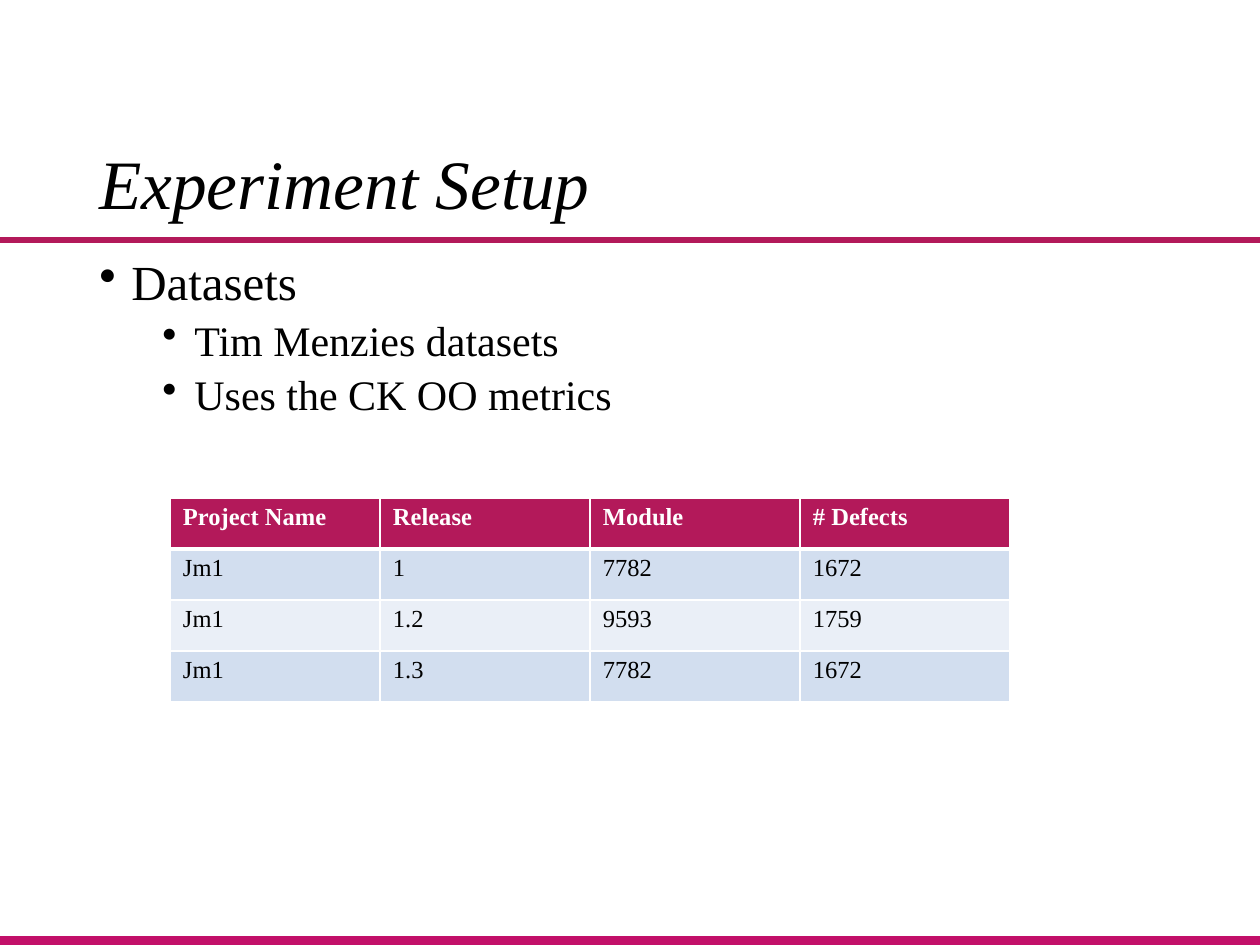
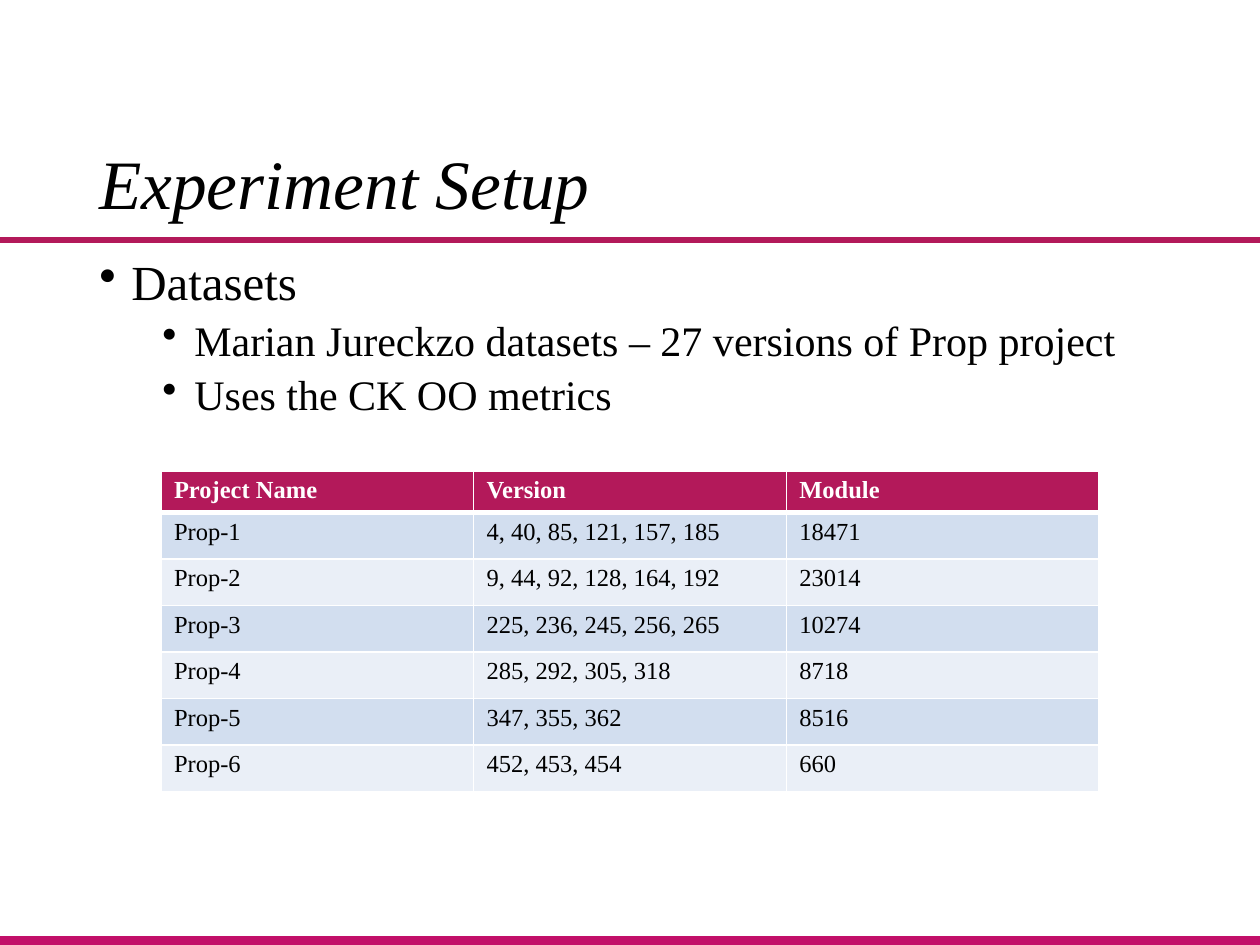
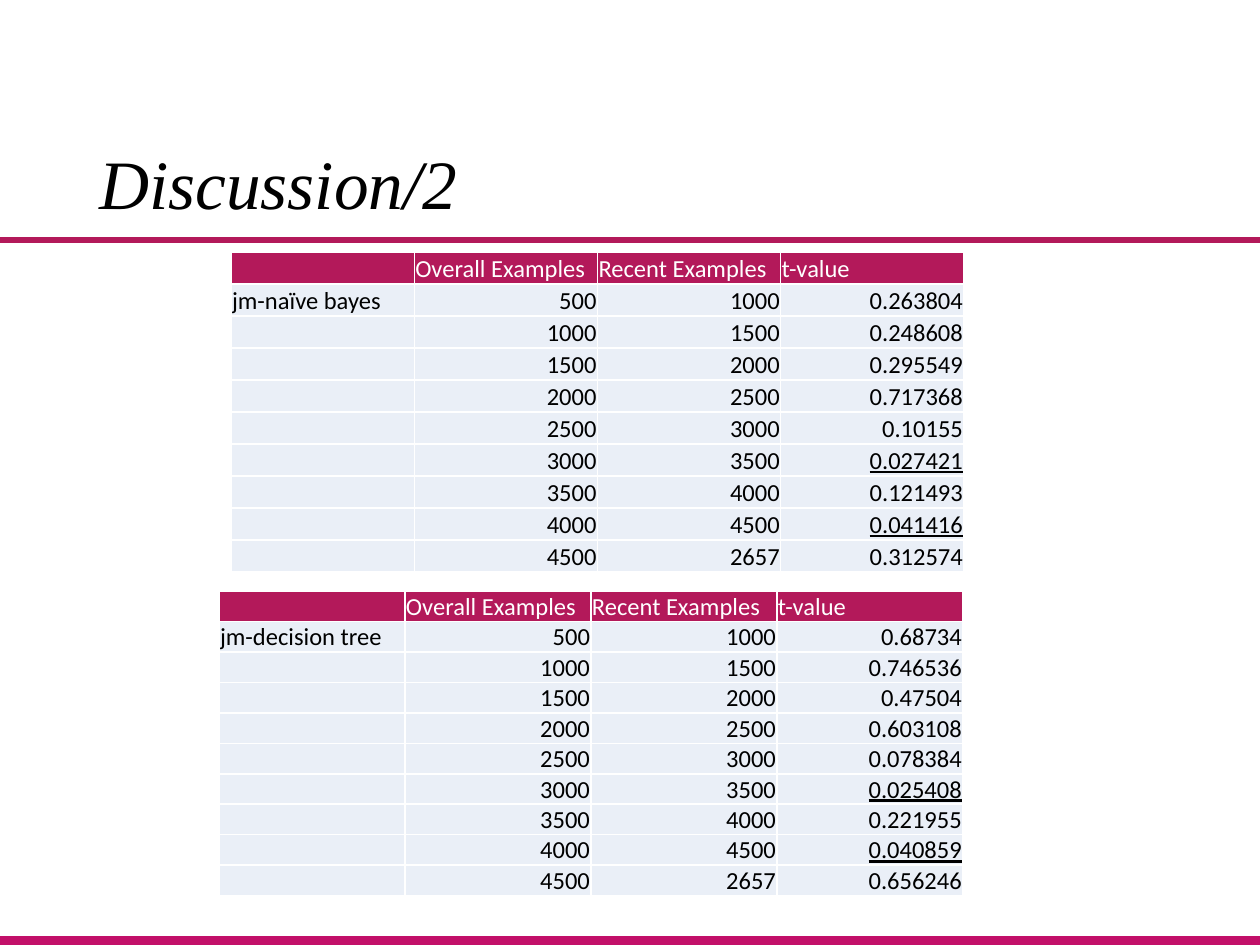
from dataclasses import dataclass

from lxml import etree
from pptx import Presentation
from pptx import util as u
from pptx.dml import color
from pptx.enum import shapes, text
from pptx.oxml import ns

EMU_PER_PX = 914400 / 126
SLIDE_WIDTH, SLIDE_HEIGHT = 1260, 945

BLACK, WHITE = "000000", "FFFFFF"
CRIMSON, MAGENTA = "B3195A", "C21069"
BLUE, PALE_BLUE = "D2DEEF", "EAEFF7"
SERIF, SANS = "Times New Roman", "Calibri"


@dataclass(frozen=True)
class Box:
    left: int
    top: int
    width: int
    height: int


@dataclass(frozen=True)
class Bar:
    box: Box
    fill: str


@dataclass(frozen=True)
class BulletStyle:
    size: int
    indent: int
    space_before: int


@dataclass(frozen=True)
class TableStyle:
    font: str
    bold_header: bool
    header_rule: int
    bands: tuple[str, ...]
    margins: tuple[int, int, int, int]
    anchor: text.MSO_ANCHOR
    numbers_right: bool


@dataclass(frozen=True)
class TableSpec:
    left: int
    top: int
    width: int
    header_height: int
    body_height: int
    rows: list[list[str]]
    style: TableStyle


BARS = [
    Bar(Box(-1, 936, 1262, 9), MAGENTA),
    Bar(Box(-1, 237, 1262, 6), CRIMSON),
]
TITLE_BOX = Box(87, 142, 1086, 91)
BODY_BOX = Box(87, 252, 1086, 600)
BULLET_HANG = 32
BULLET_STYLES = [BulletStyle(28, 32, 10), BulletStyle(24, 95, 5)]
TABLE_TEXT_SIZE = 14
SIGNIFICANCE = 0.05

DATASET_STYLE = TableStyle(
    SERIF, True, 3, (BLUE, PALE_BLUE), (13, 6, 13, 6), text.MSO_ANCHOR.TOP, False
)
RESULT_STYLE = TableStyle(
    SANS, False, 1, (PALE_BLUE,), (1, 1, 1, 0), text.MSO_ANCHOR.BOTTOM, True
)

MENZIES_ROWS = [
    ["Project Name", "Release", "Module", "# Defects"],
    ["Jm1", "1", "7782", "1672"],
    ["Jm1", "1.2", "9593", "1759"],
    ["Jm1", "1.3", "7782", "1672"],
]
PROP_ROWS = [
    ["Project Name", "Version", "Module"],
    ["Prop-1", "4, 40, 85, 121, 157, 185", "18471"],
    ["Prop-2", "9, 44, 92, 128, 164, 192", "23014"],
    ["Prop-3", "225, 236, 245, 256, 265", "10274"],
    ["Prop-4", "285, 292, 305, 318", "8718"],
    ["Prop-5", "347, 355, 362", "8516"],
    ["Prop-6", "452, 453, 454", "660"],
]
OVERALL_EXAMPLES = [str(count) for count in range(500, 5000, 500)]
RECENT_EXAMPLES = OVERALL_EXAMPLES[1:] + ["2657"]
BAYES_T_VALUES = [
    "0.263804", "0.248608", "0.295549", "0.717368", "0.10155",
    "0.027421", "0.121493", "0.041416", "0.312574",
]
TREE_T_VALUES = [
    "0.68734", "0.746536", "0.47504", "0.603108", "0.078384",
    "0.025408", "0.221955", "0.040859", "0.656246",
]


def px(length: float) -> u.Emu:
    return u.Emu(round(length * EMU_PER_PX))


def rgb(value: str) -> color.RGBColor:
    return color.RGBColor.from_string(value)


def place(box: Box) -> tuple[u.Emu, ...]:
    return px(box.left), px(box.top), px(box.width), px(box.height)


def format_runs(paragraph, font: str, size: float, fill: str,
                bold: bool = False, italic: bool = False, underline: bool = False) -> None:
    for run in paragraph.runs:
        run.font.name = font
        run.font.size = u.Pt(size)
        run.font.color.rgb = rgb(fill)
        run.font.bold = bold
        run.font.italic = italic
        run.font.underline = underline


def add_bar(slide, bar: Bar) -> None:
    shape = slide.shapes.add_shape(shapes.MSO_SHAPE.RECTANGLE, *place(bar.box))
    shape.shadow.inherit = False
    shape.fill.solid()
    shape.fill.fore_color.rgb = rgb(bar.fill)
    shape.line.fill.background()


def add_text_frame(slide, box: Box):
    text_frame = slide.shapes.add_textbox(*place(box)).text_frame
    text_frame.word_wrap = True
    return text_frame


def add_titled_slide(presentation, title: str):
    slide = presentation.slides.add_slide(presentation.slide_layouts[6])
    for bar in BARS:
        add_bar(slide, bar)
    text_frame = add_text_frame(slide, TITLE_BOX)
    text_frame.vertical_anchor = text.MSO_ANCHOR.MIDDLE
    text_frame.text = title
    paragraph = text_frame.paragraphs[0]
    paragraph.line_spacing = 0.9
    format_runs(paragraph, SERIF, 39.6, BLACK, italic=True)
    return slide


def add_bullets(slide, items: list[tuple[int, str]]) -> None:
    text_frame = add_text_frame(slide, BODY_BOX)
    text_frame.text = "\n".join(item for _, item in items)
    for paragraph, (level, _) in zip(text_frame.paragraphs, items):
        style = BULLET_STYLES[level]
        paragraph.level = level
        paragraph.line_spacing = 0.9
        paragraph.space_before = u.Pt(style.space_before)
        format_runs(paragraph, SERIF, style.size, BLACK)
        properties = paragraph._p.get_or_add_pPr()
        properties.set("marL", str(px(style.indent)))
        properties.set("indent", str(-px(BULLET_HANG)))
        etree.SubElement(properties, ns.qn("a:buChar"), char="•")


def set_borders(cell, top: int, bottom: int) -> None:
    properties = cell._tc.get_or_add_tcPr()
    for side, width in (("L", 1), ("R", 1), ("T", top), ("B", bottom)):
        line = etree.SubElement(properties, ns.qn(f"a:ln{side}"), w=str(u.Pt(width)))
        fill = etree.SubElement(line, ns.qn("a:solidFill"))
        etree.SubElement(fill, ns.qn("a:srgbClr"), val=WHITE)


def fill_cell(cell, value: str, row: int, column: int, style: TableStyle) -> None:
    header = row == 0
    number = style.numbers_right and not header and column > 0
    set_borders(
        cell,
        style.header_rule if row == 1 else 1,
        style.header_rule if header else 1,
    )
    cell.fill.solid()
    cell.fill.fore_color.rgb = rgb(
        CRIMSON if header else style.bands[(row - 1) % len(style.bands)]
    )
    cell.margin_left, cell.margin_top, cell.margin_right, cell.margin_bottom = map(
        px, style.margins
    )
    cell.vertical_anchor = style.anchor
    cell.text_frame.text = value
    paragraph = cell.text_frame.paragraphs[0]
    if number:
        paragraph.alignment = text.PP_ALIGN.RIGHT
    format_runs(
        paragraph, style.font, TABLE_TEXT_SIZE, WHITE if header else BLACK,
        bold=header and style.bold_header,
        underline=number and float(value) < SIGNIFICANCE,
    )
    if not value:
        ending = etree.SubElement(
            paragraph._p, ns.qn("a:endParaRPr"), sz=str(TABLE_TEXT_SIZE * 100)
        )
        etree.SubElement(ending, ns.qn("a:latin"), typeface=style.font)


def add_data_table(slide, spec: TableSpec) -> None:
    row_count, column_count = len(spec.rows), len(spec.rows[0])
    box = Box(spec.left, spec.top, spec.width, spec.header_height + spec.body_height)
    table = slide.shapes.add_table(row_count, column_count, *place(box)).table
    table.first_row = False
    table.horz_banding = False
    for column in table.columns:
        column.width = px(spec.width / column_count)
    for row, values in enumerate(spec.rows):
        table.rows[row].height = px(
            spec.body_height / (row_count - 1) if row else spec.header_height
        )
        for column, value in enumerate(values):
            fill_cell(table.cell(row, column), value, row, column, spec.style)


def result_rows(learner: str, t_values: list[str]) -> list[list[str]]:
    labels = [learner] + [""] * (len(t_values) - 1)
    body = zip(labels, OVERALL_EXAMPLES, RECENT_EXAMPLES, t_values)
    return [["", "Overall Examples", "Recent Examples", "t-value"], *map(list, body)]


def add_dataset_slide(presentation, source: str, spec: TableSpec) -> None:
    slide = add_titled_slide(presentation, "Experiment Setup")
    add_bullets(slide, [(0, "Datasets"), (1, source), (1, "Uses the CK OO metrics")])
    add_data_table(slide, spec)


def add_discussion_slide(presentation) -> None:
    slide = add_titled_slide(presentation, "Discussion/2")
    tree_rows = result_rows("jm-decision tree", TREE_T_VALUES)
    bayes_rows = result_rows("jm-naïve bayes", BAYES_T_VALUES)
    add_data_table(slide, TableSpec(219, 591, 744, 26, 270, tree_rows, RESULT_STYLE))
    add_data_table(slide, TableSpec(231, 252, 733, 32, 288, bayes_rows, RESULT_STYLE))


def main() -> None:
    presentation = Presentation()
    presentation.slide_width = px(SLIDE_WIDTH)
    presentation.slide_height = px(SLIDE_HEIGHT)
    add_dataset_slide(
        presentation, "Tim Menzies datasets",
        TableSpec(170, 498, 840, 51, 153, MENZIES_ROWS, DATASET_STYLE),
    )
    add_dataset_slide(
        presentation, "Marian Jureckzo datasets – 27 versions of Prop project",
        TableSpec(161, 471, 938, 38, 279, PROP_ROWS, DATASET_STYLE),
    )
    add_discussion_slide(presentation)
    presentation.save("out.pptx")


if __name__ == "__main__":
    main()
